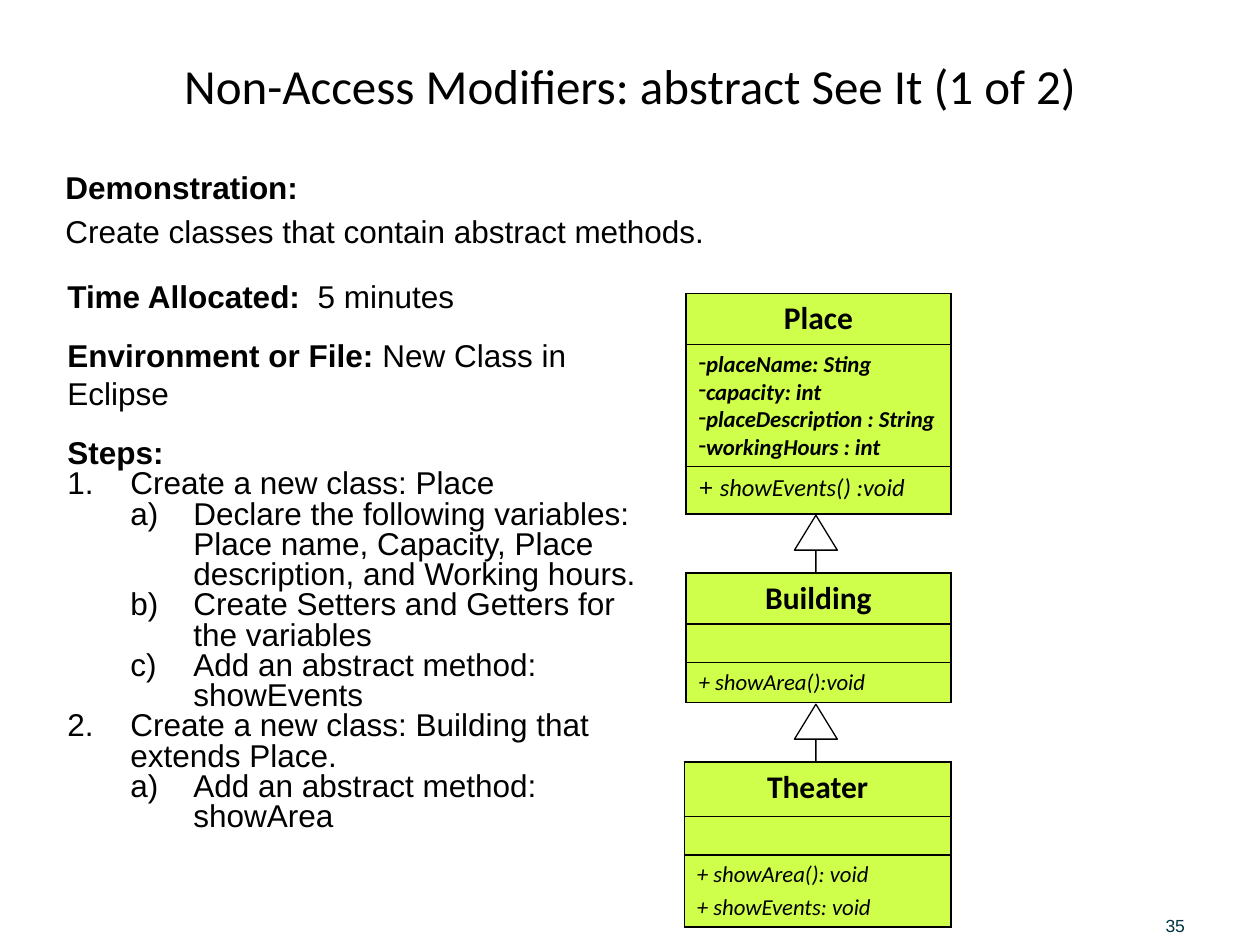
from dataclasses import dataclass

from lxml.etree import SubElement
from pptx import Presentation
from pptx.dml.color import RGBColor
from pptx.enum.shapes import MSO_SHAPE as Shape
from pptx.enum.text import MSO_ANCHOR as Anchor, PP_ALIGN as Align
from pptx.oxml import parse_xml
from pptx.oxml.ns import nsdecls, qn
from pptx.util import Pt


@dataclass(frozen=True)
class Theme:
    ink: RGBColor = RGBColor(0, 0, 0)
    class_fill: RGBColor = RGBColor(0xD0, 0xFF, 0x4B)
    page_number: RGBColor = RGBColor(0x00, 0x33, 0x44)
    body_font: str = "Arial"
    uml_font: str = "Calibri"
    title: int = 28
    body: int = 18
    method: int = 14
    member: int = 13
    empty: int = 12
    footer: int = 10


THEME = Theme()
BODY = {"name": THEME.body_font, "size": THEME.body}
HEADING = {**BODY, "bold": True}
CLASS_NAME = {"name": THEME.uml_font, "size": THEME.body, "bold": True}
MEMBER = {"name": THEME.uml_font, "size": THEME.member, "italic": True}
FIELD = {**MEMBER, "bold": True}
METHOD = {**MEMBER, "size": THEME.method}


def style_run(run, style):
    values = {"bold": False, **style, "size": Pt(style["size"])}
    run.font.color.rgb = values.pop("color", THEME.ink)
    for attribute, value in values.items():
        setattr(run.font, attribute, value)


def add_paragraph(frame, runs, bullet=None, indent=0, **layout):
    """Fill the frame's empty first paragraph, or append one; bullet is (tag, attributes)."""
    first = frame.paragraphs[0]
    paragraph = frame.add_paragraph() if first.runs else first
    if not first.runs:
        layout.pop("space_before", None)
    for attribute, value in layout.items():
        setattr(paragraph, attribute, value)
    if bullet:
        tag, attributes = bullet
        properties = paragraph._p.get_or_add_pPr()
        hanging = 36 if indent else 0
        properties.set("marL", str(Pt(indent)))
        properties.set("indent", str(-Pt(hanging)))
        SubElement(properties, qn(tag), attributes)
    for text, style in runs:
        run = paragraph.add_run()
        run.text = text
        style_run(run, style)


def add_text_box(slide, box, anchor=Anchor.TOP, inset=True):
    frame = slide.shapes.add_textbox(*map(Pt, box)).text_frame
    frame.word_wrap = True
    frame.vertical_anchor = anchor
    if not inset:
        for side in ("left", "top", "right", "bottom"):
            setattr(frame, f"margin_{side}", 0)
    return frame


def add_title(slide, box):
    frame = add_text_box(slide, box, Anchor.MIDDLE)
    style = {"name": THEME.uml_font, "size": THEME.title}
    add_paragraph(frame, [("Non-Access Modifiers: abstract See It (1 of 2)", style)],
                  alignment=Align.CENTER)


def add_demonstration(slide, box):
    frame = add_text_box(slide, box, inset=False)
    add_paragraph(frame, [("Demonstration:", HEADING)])
    add_paragraph(frame, [("Create classes that contain abstract methods.", BODY)],
                  space_before=Pt(3.6))


def add_instructions(slide, box):
    frame = add_text_box(slide, box)
    for label, detail in (
        ("Time Allocated:  ", "5 minutes"),
        ("Environment or File: ", "New Class in Eclipse"),
        ("Steps:", ""),
    ):
        runs = [(label, HEADING)] + ([(detail, BODY)] if detail else [])
        add_paragraph(frame, runs, space_before=Pt(12))

    numbering = ("arabicPeriod", "alphaLcParenR")
    for level, step in (
        (0, "Create a new class: Place"),
        (1, "Declare the following variables: Place name, Capacity, "
            "Place description, and Working hours."),
        (1, "Create Setters and Getters for the variables"),
        (1, "Add an abstract method: showEvents"),
        (0, "Create a new class: Building that extends Place."),
        (1, "Add an abstract method: showArea"),
    ):
        add_paragraph(frame, [(step, BODY)], ("a:buAutoNum", {"type": numbering[level]}),
                      indent=36 * (level + 1), level=level, line_spacing=0.8)


def outline_cell(cell):
    properties = cell._tc.get_or_add_tcPr()
    for position, side in enumerate("LRTB"):
        properties.insert(position, parse_xml(
            f'<a:ln{side} {nsdecls("a")} w="{Pt(1)}"><a:solidFill>'
            f'<a:srgbClr val="{THEME.ink}"/></a:solidFill></a:ln{side}>'))


def add_class(slide, box, row_heights, name, fields, methods):
    """Draw a class as name, fields and methods; each method is a list of runs."""
    left, top, width = box
    table = slide.shapes.add_table(
        3, 1, Pt(left), Pt(top), Pt(width), Pt(sum(row_heights))).table
    table.first_row = table.horz_banding = False
    for row, height in zip(table.rows, row_heights):
        row.height = Pt(height)
        cell = row.cells[0]
        cell.fill.solid()
        cell.fill.fore_color.rgb = THEME.class_fill
        outline_cell(cell)

    name_frame, field_frame, method_frame = (
        row.cells[0].text_frame for row in table.rows)
    add_paragraph(name_frame, [(name, CLASS_NAME)], alignment=Align.CENTER)
    for field in fields:
        add_paragraph(field_frame, [(field, FIELD)], ("a:buChar", {"char": "-"}))
    if not fields:
        SubElement(field_frame.paragraphs[0]._p, qn("a:endParaRPr"),
                   {"sz": str(THEME.empty * 100)})
    for runs in methods:
        add_paragraph(method_frame, runs, space_before=Pt(2.6))


def add_inheritance_arrow(slide, box):
    arrow = slide.shapes.add_shape(Shape.UP_ARROW, *map(Pt, box))
    arrow.adjustments[0] = 0
    arrow.adjustments[1] = 0.815
    arrow.shadow.inherit = False
    arrow.fill.background()
    arrow.line.color.rgb = THEME.ink
    arrow.line.width = Pt(0.75)


def add_class_diagram(slide, left, top, width):
    add_class(slide, (left, top, width), (29.2, 69.8, 27), "Place",
              ("placeName: Sting", "capacity: int",
               "placeDescription : String", "workingHours : int"),
              [[("+ ", {**METHOD, "name": THEME.body_font}),
                ("showEvents() :void", METHOD)]])
    add_class(slide, (left, top + 159.8, width), (29.2, 21.8, 22.8), "Building", (),
              [[("+ showArea():void", MEMBER)]])
    add_class(slide, (left - 1, top + 267.8, width + 1), (31.2, 21.8, 41.2), "Theater", (),
              [[("+ showArea(): void", MEMBER)], [("+ showEvents: void", MEMBER)]])
    for arrow_top in (126.7, 234.7):
        add_inheritance_arrow(slide, (left + 62, top + arrow_top, 24.5, 32.4))


def add_page_number(slide, box):
    frame = add_text_box(slide, box, Anchor.BOTTOM, inset=False)
    add_paragraph(frame, [("35", {"name": THEME.body_font, "size": THEME.footer,
                                  "color": THEME.page_number})])


def main():
    presentation = Presentation()
    presentation.slide_width, presentation.slide_height = Pt(720), Pt(540)
    slide = presentation.slides.add_slide(presentation.slide_layouts[6])
    add_title(slide, (36, 14.4, 648, 68.4))
    add_demonstration(slide, (37.4, 96, 502, 86.4))
    add_instructions(slide, (31.4, 155, 353, 350))
    add_class_diagram(slide, 392, 167.7, 151.4)
    add_page_number(slide, (666, 515, 49.7, 20))
    presentation.save("out.pptx")


if __name__ == "__main__":
    main()
